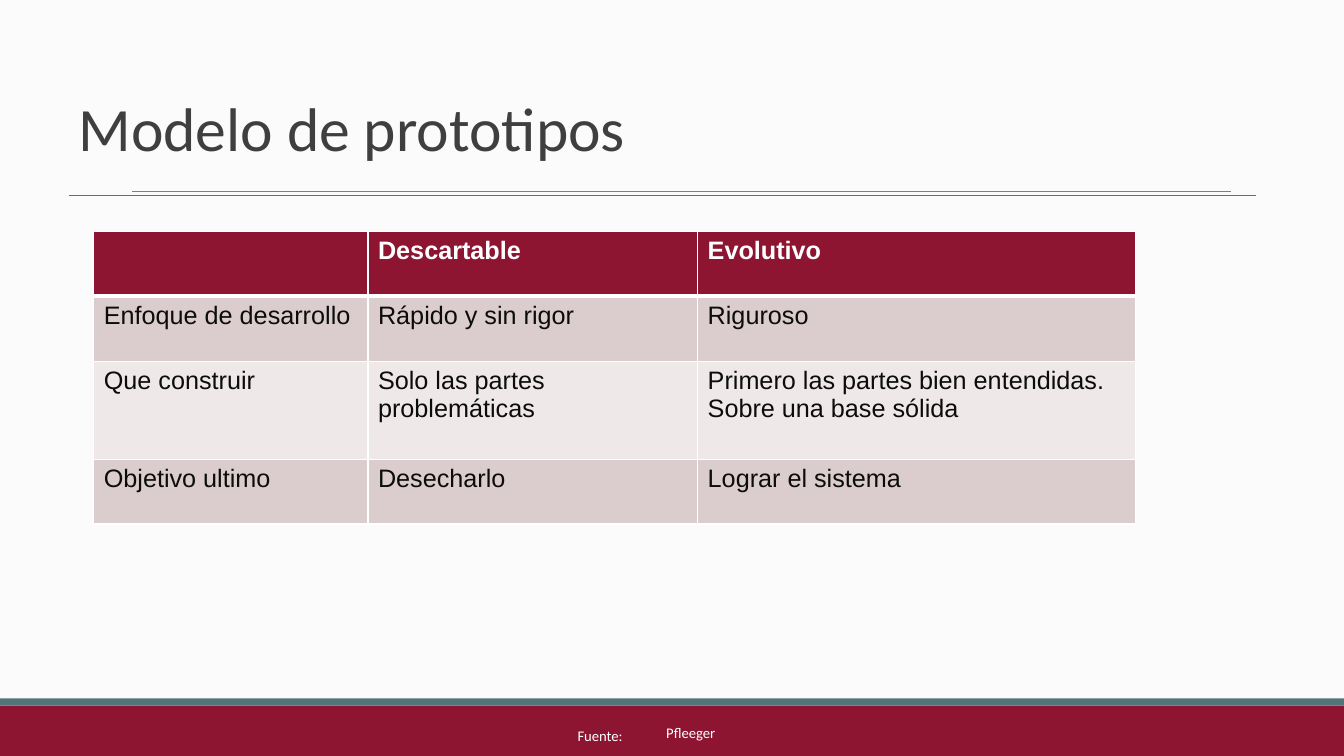
from pptx import Presentation, util as u
from pptx.dml.color import RGBColor
from pptx.enum import shapes, text
from pptx.oxml import parse_xml
from pptx.oxml.ns import nsdecls, qn
from lxml import etree

W, H = 13.33, 7.5
C = {"bg": "FBFBFB", "wine": "8D1532", "teal": "54747B", "gray": "7F7F7F",
     "title": "3F3F3F", "white": "FFFFFF", "ink": "0C0C0C",
     "band": "DBCCCE", "light": "EEE8E8"}
rgb = {name: RGBColor.from_string(value) for name, value in C.items()}

prs = Presentation()
prs.slide_width, prs.slide_height = u.Inches(W), u.Inches(H)
s = prs.slides.add_slide(prs.slide_layouts[6])
s.background.fill.solid()
s.background.fill.fore_color.rgb = rgb["bg"]


def add_run(p, words, size, color, font="Calibri", bold=False):
    r = p.add_run()
    r.text = words
    r.font.size, r.font.name, r.font.bold = u.Pt(size), font, bold
    r.font.color.rgb = rgb[color]


def add_border(cell, side, width):
    """Add a white border; call in the order L, R, T, B, before the fill."""
    cell._tc.get_or_add_tcPr().append(parse_xml(
        f'<a:ln{side} {nsdecls("a")} w="{u.Pt(width)}"><a:solidFill>'
        f'<a:srgbClr val="{C["white"]}"/></a:solidFill></a:ln{side}>'))


# Footer bands
for top, height, color in [(7, 0.5, "wine"), (6.93, 0.07, "teal")]:
    sp = s.shapes.add_shape(shapes.MSO_SHAPE.RECTANGLE, 0, u.Inches(top),
                            prs.slide_width, u.Inches(height))
    sp.shadow.inherit = False
    sp.fill.solid()
    sp.fill.fore_color.rgb = rgb[color]
    sp.line.fill.background()

# Rules under the title
for x1, x2, y, color, width in [(1.31, 12.21, 1.9, "gray", 0.75),
                                (0.68, 12.46, 1.94, "teal", 1)]:
    line = s.shapes.add_connector(shapes.MSO_CONNECTOR.STRAIGHT, u.Inches(x1),
                                  u.Inches(y), u.Inches(x2), u.Inches(y))
    line.line.color.rgb = rgb[color]
    line.line.width = u.Pt(width)
    etree.SubElement(line._element.spPr, qn("a:effectLst"))

# Title and source
for x, y, w, h, words, size, color, spacing in [
        (0.68, 0.7, 11.78, 1.24, "Modelo de prototipos", 44, "title", 0.85),
        (5.63, 7.09, 0.86, 0.41, "Fuente:", 10.5, "white", 1),
        (6.51, 7.12, 2.36, 0.33, "Pfleeger", 10.5, "white", 0.85)]:
    tf = s.shapes.add_textbox(*map(u.Inches, (x, y, w, h))).text_frame
    tf.word_wrap = True
    tf.vertical_anchor = text.MSO_ANCHOR.MIDDLE
    p = tf.paragraphs[0]
    p.line_spacing = spacing
    add_run(p, words, size, color)

# Comparison table
rows = [("", "Descartable", "Evolutivo"),
        ("Enfoque de desarrollo", "Rápido y sin rigor", "Riguroso"),
        ("Que construir", "Solo las partes problemáticas",
         "Primero las partes bien entendidas. Sobre una base sólida"),
        ("Objetivo ultimo", "Desecharlo", "Lograr el sistema")]
col_widths = [2.72, 3.27, 4.34]
row_heights = [0.64, 0.65, 0.97, 0.64]
table = s.shapes.add_table(len(rows), len(col_widths), u.Inches(0.93), u.Inches(2.3),
                           u.Inches(sum(col_widths)), u.Inches(sum(row_heights))).table
for col, width in zip(table.columns, col_widths):
    col.width = u.Inches(width)
for i, (values, height) in enumerate(zip(rows, row_heights)):
    table.rows[i].height = u.Inches(height)
    header = i == 0
    for j, words in enumerate(values):
        cell = table.cell(i, j)
        for side in "LRTB":
            thick = (header and side == "B") or (i == 1 and side == "T")
            add_border(cell, side, 3 if thick else 1)
        cell.fill.solid()
        cell.fill.fore_color.rgb = rgb["wine" if header else "band" if i % 2 else "light"]
        if words:
            add_run(cell.text_frame.paragraphs[0], words, 18,
                    "white" if header else "ink", "Arial", header)

prs.save("out.pptx")
